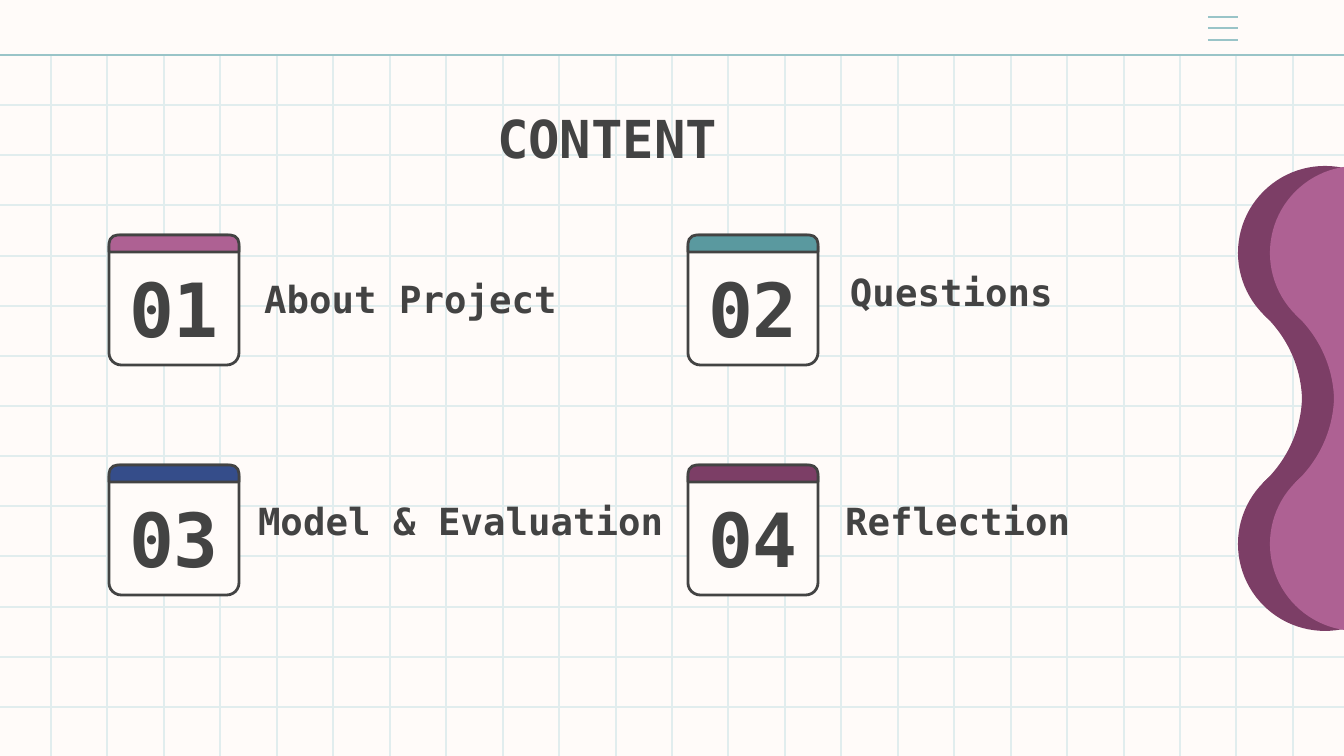
from lxml.etree import SubElement
from pptx import Presentation
from pptx.dml.color import RGBColor
from pptx.enum.shapes import MSO_CONNECTOR as Connector, MSO_SHAPE as Shape
from pptx.enum.text import MSO_ANCHOR as Anchor, MSO_AUTO_SIZE as AutoSize, PP_ALIGN as Align
from pptx.oxml.ns import qn
from pptx.util import Pt

EMU_PER_PX = 914400 / 134.4
WIDTH, HEIGHT = 1344, 756
HEADER_Y = 55
FONT = "DejaVu Sans Mono"
CREAM, INK, GRID, TEAL = "FFFBF9", "434343", "E1EDEE", "99C4C8"
PLUM, PINK = "7C3E66", "AE6193"
CARD_SIZE, CARD_HEADER = 130, 17
CARDS = [
    ("01", 109, 235, PINK, "About Project", (251, 249, 417, 85)),
    ("02", 688, 235, "5A999F", "Questions", (837, 276, 417, 51)),
    ("03", 109, 465, "354D8A", "Model & Evaluation", (245, 505, 437, 51)),
    ("04", 688, 465, PLUM, "Reflection", (832, 505, 417, 51)),
]


def px(value):
    return round(value * EMU_PER_PX)


def color(hex_string):
    return RGBColor.from_string(hex_string)


def place(shape, left, top, width, height):
    shape.left, shape.top = px(left), px(top)
    shape.width, shape.height = px(width), px(height)


def style_shape(shape, fill, line=None):
    shape.shadow.inherit = False
    shape.fill.solid()
    shape.fill.fore_color.rgb = color(fill)
    if line:
        shape.line.color.rgb = color(line)
        shape.line.width = Pt(1.5)
    else:
        shape.line.fill.background()


def add_shape(slide, kind, box, fill, line=None, adjustments=()):
    shape = slide.shapes.add_shape(kind, *map(px, box))
    style_shape(shape, fill, line)
    for index, value in enumerate(adjustments):
        shape.adjustments[index] = value


def add_line(slide, start, end, line_color, width):
    points = map(px, (*start, *end))
    connector = slide.shapes.add_connector(Connector.STRAIGHT, *points)
    connector.line.color.rgb = color(line_color)
    connector.line.width = Pt(width)
    SubElement(connector.element.spPr, qn("a:effectLst"))


def write_text(shape, text, size, anchor=Anchor.TOP, align=Align.LEFT, spacing=1.0):
    frame = shape.text_frame
    frame.word_wrap = True
    frame.auto_size = AutoSize.NONE
    frame.vertical_anchor = anchor
    frame.margin_left = frame.margin_right = px(13)
    frame.margin_top = frame.margin_bottom = px(13)
    paragraph = frame.paragraphs[0]
    paragraph.alignment = align
    paragraph.line_spacing = spacing
    run = paragraph.add_run()
    run.text = text
    run.font.name = FONT
    run.font.size = Pt(size)
    run.font.bold = True
    run.font.color.rgb = color(INK)


def add_text(slide, box, text, size, **text_format):
    write_text(slide.shapes.add_textbox(*map(px, box)), text, size, **text_format)


def add_grid(slide):
    for column in range(23):
        x = round(51 + column * 56.45)
        add_line(slide, (x, HEADER_Y), (x, HEIGHT), GRID, 0.75)
    for row in range(1, 14):
        y = round(HEADER_Y + row * 50.15)
        add_line(slide, (0, y), (WIDTH, y), GRID, 0.75)
    add_line(slide, (0, HEADER_Y), (WIDTH, HEADER_Y), TEAL, 1.5)


def add_menu_icon(slide):
    for y in (17, 28, 40):
        add_line(slide, (1208, y), (1238, y), TEAL, 1.5)


def bezier(start, control_1, control_2, end, steps=24):
    points = []
    for step in range(steps + 1):
        t = step / steps
        weights = ((1 - t) ** 3, 3 * t * (1 - t) ** 2, 3 * t * t * (1 - t), t ** 3)
        corners = (start, control_1, control_2, end)
        points.append(tuple(sum(w * c[axis] for w, c in zip(weights, corners))
                            for axis in (0, 1)))
    return points


def neck_side(curve, mirror_sum):
    upper = bezier(*curve)
    return upper + [(x, mirror_sum - y) for x, y in reversed(upper)]


def add_blob(slide, left, fill):
    lobe_size, lobe_tops, mirror_sum = 174, (166, 457), 797
    for top in lobe_tops:
        add_shape(slide, Shape.OVAL, (left, top, lobe_size, lobe_size), fill)
    left_side = neck_side([(25, 314), (50, 337), (63, 368), (64, 398)], mirror_sum)
    right_side = neck_side([(149, 314), (124, 337), (113, 368), (113, 398)], mirror_sum)
    outline = [(px(left + x), px(y)) for x, y in left_side + right_side[::-1]]
    builder = slide.shapes.build_freeform(*outline[0])
    builder.add_line_segments(outline[1:], close=True)
    style_shape(builder.convert_to_shape(), fill)


def add_card(slide, number, left, top, accent, label, label_box):
    add_shape(slide, Shape.ROUNDED_RECTANGLE, (left, top, CARD_SIZE, CARD_SIZE),
              CREAM, INK, [0.094])
    add_shape(slide, Shape.ROUND_2_SAME_RECTANGLE, (left, top, CARD_SIZE, CARD_HEADER),
              accent, INK, [0.5, 0])
    add_text(slide, (left, top + 30, CARD_SIZE, 85), number, 40,
             anchor=Anchor.MIDDLE, align=Align.CENTER)
    add_text(slide, label_box, label, 20, anchor=Anchor.BOTTOM, spacing=1.15)


def add_title(slide, text):
    title = slide.shapes.title
    place(title, 484, 93, 280, 85)
    write_text(title, text, 28)
    title.element.getparent().append(title.element)


def main():
    presentation = Presentation()
    presentation.slide_width, presentation.slide_height = px(WIDTH), px(HEIGHT)
    slide = presentation.slides.add_slide(presentation.slide_layouts[5])
    slide.background.fill.solid()
    slide.background.fill.fore_color.rgb = color(CREAM)
    add_grid(slide)
    add_menu_icon(slide)
    add_blob(slide, 1238, PLUM)
    add_blob(slide, 1270, PINK)
    for card in CARDS:
        add_card(slide, *card)
    add_title(slide, "CONTENT")
    presentation.save("out.pptx")


if __name__ == "__main__":
    main()
